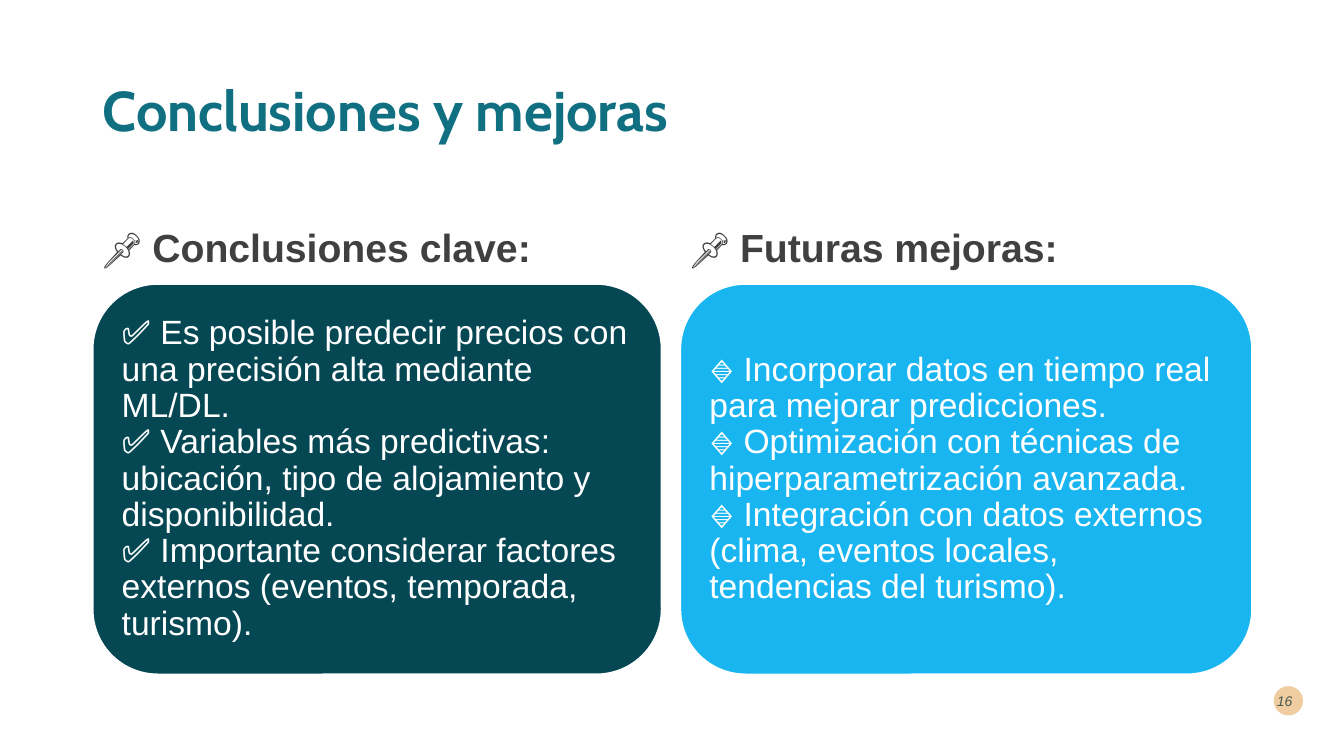
from dataclasses import dataclass

from lxml.etree import SubElement
from pptx import Presentation
from pptx.dml.color import RGBColor
from pptx.enum.shapes import MSO_SHAPE
from pptx.enum.text import MSO_ANCHOR, PP_ALIGN
from pptx.oxml.ns import qn
from pptx.util import Cm, Pt


@dataclass(frozen=True)
class Theme:
    """Colours, fonts and type sizes of the deck."""
    teal: str = "107082"
    dark: str = "054854"
    blue: str = "00AEEF"
    sand: str = "F0CDA1"
    grey: str = "404040"
    ink: str = "00292E"
    white: str = "FFFFFF"
    head: str = "Cabin"
    body: str = "Arial"
    title: int = 40
    label: int = 28
    text: int = 24
    page: int = 10


class Board:
    """Draws styled elements on the current slide."""

    def __init__(self, slide, theme):
        self.slide = slide
        self.theme = theme

    def fade(self, item, part):
        """Make the colours of an element partly see-through."""
        for tint in item.iter(qn("a:srgbClr")):
            SubElement(tint, qn("a:alpha"), val=str(part * 1000))

    def style(self, frame, text, size, color, font=None, bold=False,
              italic=False, align=PP_ALIGN.LEFT, anchor=MSO_ANCHOR.MIDDLE, space=0.9):
        """Fill a text frame and format its runs."""
        frame.word_wrap = True
        frame.vertical_anchor = anchor
        frame.text = text
        for para in frame.paragraphs:
            para.alignment = align
            para.line_spacing = space
            for run in para.runs:
                run.font.name = font or self.theme.body
                run.font.size = Pt(size)
                run.font.bold = bold
                run.font.italic = italic
                run.font.color.rgb = RGBColor.from_string(color)

    def label(self, box, text, size, color, **looks):
        """Add a text box."""
        item = self.slide.shapes.add_textbox(*map(Cm, box))
        self.style(item.text_frame, text, size, color, **looks)
        return item

    def shape(self, kind, box, color, part=100):
        """Add a filled preset shape without a line."""
        item = self.slide.shapes.add_shape(kind, *map(Cm, box))
        item.shadow.inherit = False
        item.fill.solid()
        item.fill.fore_color.rgb = RGBColor.from_string(color)
        if part < 100:
            self.fade(item.element.spPr, part)
        item.line.fill.background()
        return item

    def card(self, box, lines, color, part):
        """Add a rounded card holding lines of text."""
        item = self.shape(MSO_SHAPE.ROUNDED_RECTANGLE, box, color, part)
        item.line.color.rgb = RGBColor.from_string(self.theme.white)
        item.line.width = Pt(1)
        frame = item.text_frame
        frame.margin_left = frame.margin_right = Cm(0.25)
        frame.margin_top = frame.margin_bottom = Cm(0.25)
        self.style(frame, "\n".join(lines), self.theme.text, self.theme.white)

    def column(self, left, width, head, lines, color, part=100):
        """Add a heading with its card below."""
        self.label((left, 4.67, width, 2.29), head, self.theme.label,
                   self.theme.grey, bold=True, anchor=MSO_ANCHOR.BOTTOM)
        self.card((left, 7.16, width, 9.83), lines, color, part)

    def number(self, text):
        """Add the page number on its disc."""
        self.shape(MSO_SHAPE.OVAL, (32.1, 17.29, 0.74, 0.74), self.theme.sand)
        item = self.label((31.83, 17.15, 0.99, 1.02), text, self.theme.page,
                          self.theme.ink, italic=True, align=PP_ALIGN.RIGHT, space=1.0)
        self.fade(item.element.txBody, 70)


def main():
    """Build the slide and save it."""
    deck = Presentation()
    deck.slide_width, deck.slide_height = Cm(33.87), Cm(19.05)
    theme = Theme()
    board = Board(deck.slides.add_slide(deck.slide_layouts[6]), theme)
    board.label((2.34, 1.02, 29.21, 3.68), "Conclusiones y mejoras",
                theme.title, theme.teal, font=theme.head, bold=True)
    board.column(2.34, 14.33, "📌 Conclusiones clave:", (
        "✅ Es posible predecir precios con una precisión alta mediante ML/DL.",
        "✅ Variables más predictivas: ubicación, tipo de alojamiento y disponibilidad.",
        "✅ Importante considerar factores externos (eventos, temporada, turismo).",
    ), theme.dark)
    board.column(17.15, 14.4, "📌 Futuras mejoras:", (
        "🔹 Incorporar datos en tiempo real para mejorar predicciones.",
        "🔹 Optimización con técnicas de hiperparametrización avanzada.",
        "🔹 Integración con datos externos (clima, eventos locales, tendencias del turismo).",
    ), theme.blue, 90)
    board.number("16")
    deck.save("out.pptx")


if __name__ == "__main__":
    main()
